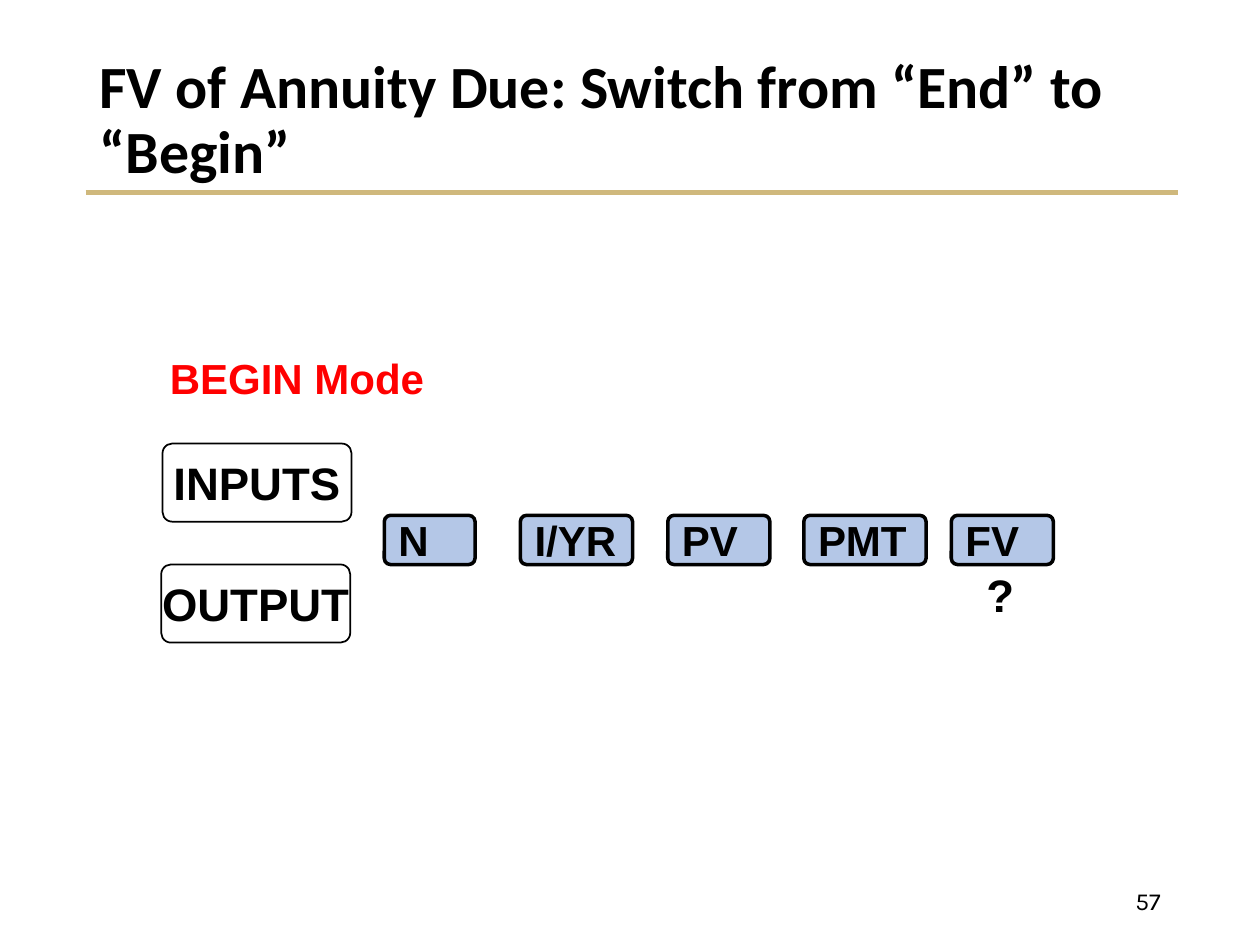
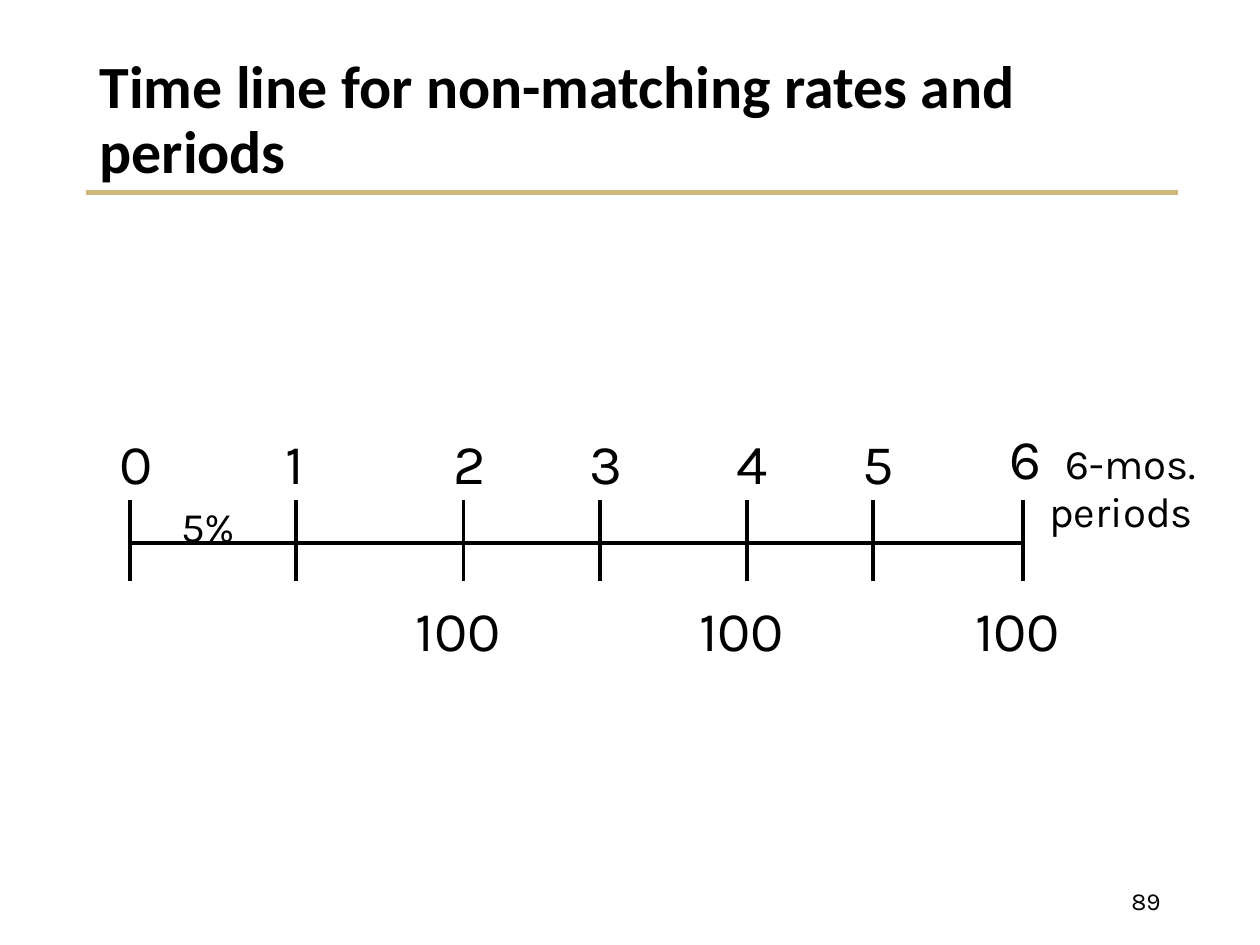
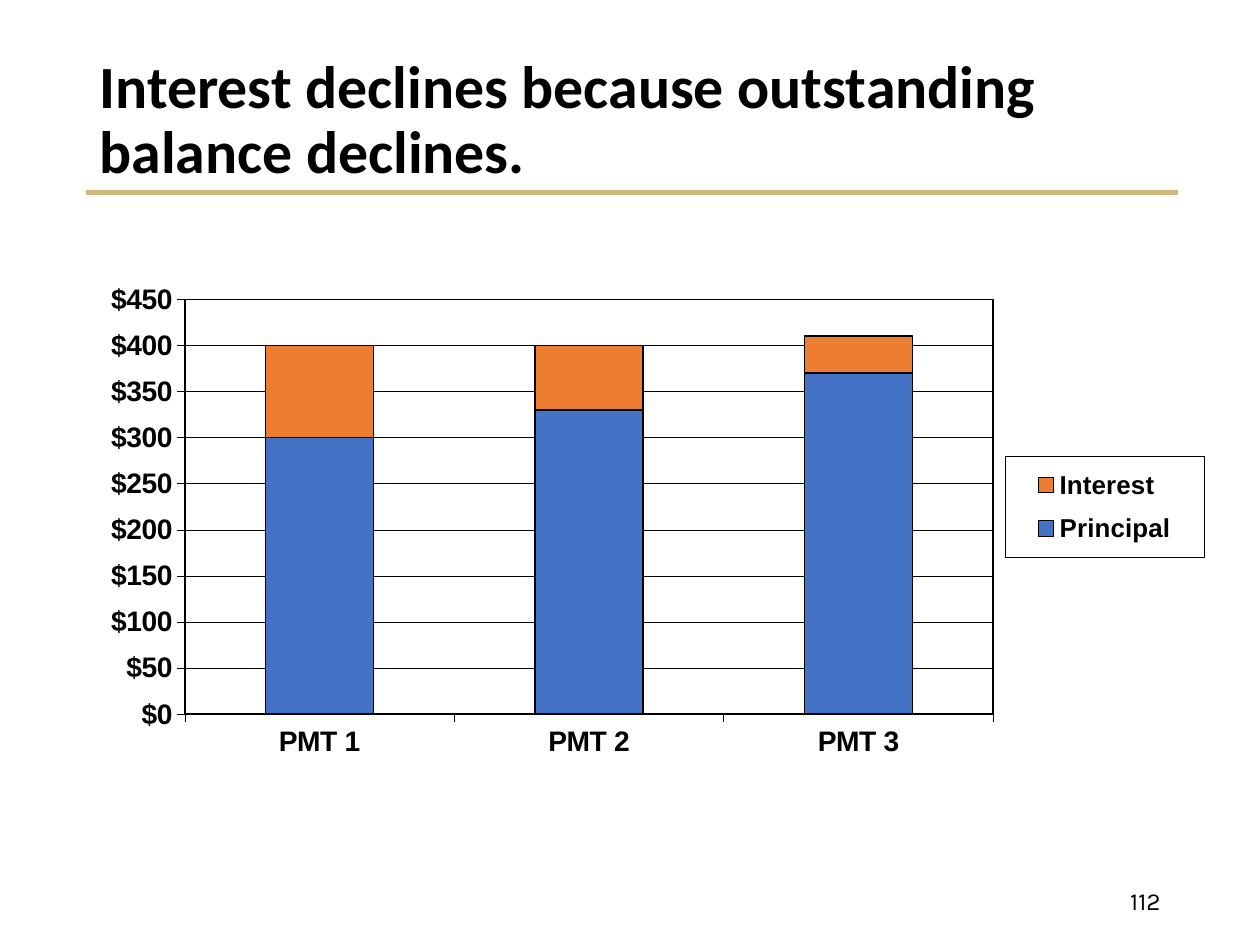
from dataclasses import dataclass

from lxml.etree import SubElement
from pptx import Presentation
from pptx.chart.data import CategoryChartData
from pptx.dml.color import RGBColor as RGB
from pptx.enum.chart import XL_CHART_TYPE as Chart, XL_LEGEND_POSITION as Legend
from pptx.enum.chart import XL_TICK_MARK as Tick
from pptx.enum.shapes import MSO_CONNECTOR as Link, MSO_SHAPE as Shape
from pptx.enum.text import MSO_ANCHOR as Anchor, MSO_AUTO_SIZE as Fit, PP_ALIGN as Align
from pptx.oxml import parse_xml
from pptx.oxml.ns import nsdecls, qn
from pptx.util import Inches, Pt


@dataclass(frozen=True)
class Theme:
    ink: str = "000000"
    gold: str = "CFB87C"
    red: str = "FF0000"
    key: str = "B4C7E7"
    blue: str = "4472C4"
    orange: str = "ED7D31"
    head: str = "Calibri"
    sans: str = "Arial"
    body: str = "Karla"
    title: float = 34.2
    mark: float = 32
    label: float = 26
    text: float = 24
    axis: float = 16.1
    legend: float = 14.8
    page: float = 14


T = Theme()


# Shared helpers
def style(font, size, name=T.body, color=T.ink, bold=False):
    font.size, font.name, font.bold = Pt(size), name, bold
    font.color.rgb = RGB.from_string(color)


def write(para, text, align=Align.LEFT, space=None, **fmt):
    para.alignment = align
    if space:
        para.line_spacing = space
    run = para.add_run()
    run.text = text
    style(run.font, **fmt)


def label(slide, text, x, y, w, h, anchor=Anchor.TOP, **fmt):
    frame = slide.shapes.add_textbox(*map(Inches, (x, y, w, h))).text_frame
    frame.word_wrap, frame.vertical_anchor = True, anchor
    write(frame.paragraphs[0], text, **fmt)
    return frame


def stroke(line, width, color=T.ink):
    line.color.rgb, line.width = RGB.from_string(color), Pt(width)


def rule(slide, x1, y1, x2, y2, width=2, color=T.ink):
    line = slide.shapes.add_connector(Link.STRAIGHT, *map(Inches, (x1, y1, x2, y2)))
    stroke(line.line, width, color)
    SubElement(line._element.spPr, qn("a:effectLst"))


def button(slide, text, x, y, w, h, fill=None, width=1, **fmt):
    shape = slide.shapes.add_shape(Shape.ROUNDED_RECTANGLE, *map(Inches, (x, y, w, h)))
    shape.adjustments[0] = 0.125
    shape.shadow.inherit = False
    if fill:
        shape.fill.solid()
        shape.fill.fore_color.rgb = RGB.from_string(fill)
    else:
        shape.fill.background()
    stroke(shape.line, width)
    frame = shape.text_frame
    frame.word_wrap, frame.vertical_anchor = False, Anchor.MIDDLE
    write(frame.paragraphs[0], text, name=T.sans, bold=True, **fmt)


def start(deck, title, page):
    """Add a slide with its title, gold rule and page number."""
    slide = deck.slides.add_slide(deck.slide_layouts[5])
    rule(slide, 0.68, 1.53, 9.35, 1.53, width=3, color=T.gold)
    head = slide.shapes.title
    head.left, head.top, head.width, head.height = map(Inches, (0.69, 0.4, 8.62, 1.13))
    frame = head.text_frame
    frame.auto_size, frame.word_wrap = Fit.NONE, True
    frame.vertical_anchor = Anchor.MIDDLE
    write(frame.paragraphs[0], title, space=0.9, size=T.title, name=T.head, bold=True)
    label(slide, str(page), 7.06, 6.95, 2.25, 0.4, anchor=Anchor.MIDDLE,
          align=Align.RIGHT, size=T.page)
    return slide


# Calculator keys
def keypad(slide, x, y):
    label(slide, "BEGIN Mode", x, y, 2.3, 0.51, size=T.text, name=T.sans,
          color=T.red, bold=True)
    for text, dx, dy in (("INPUTS", 0.04, 0.77), ("OUTPUT", 0.03, 1.73)):
        button(slide, text, x + dx, y + dy, 1.5, 0.62, size=T.label, align=Align.CENTER)
    keys = (("N", 1.8, 0.72), ("I/YR", 2.88, 0.89), ("PV", 4.05, 0.81),
            ("PMT", 5.13, 0.97), ("FV", 6.3, 0.81))
    for text, dx, w in keys:
        button(slide, text, x + dx, y + 1.34, w, 0.39, fill=T.key, width=2, size=T.text)
    label(slide, "?", x + 6.48, y + 1.7, 0.5, 0.51, size=T.label, name=T.sans, bold=True)


# Time line with cash flows
def timeline(slide, x, y, ticks, flows, rate):
    rule(slide, x, y, x + ticks[-1], y)
    for num, dx in enumerate(ticks):
        at = x + dx
        rule(slide, at, y - 0.34, at, y + 0.3)
        if num < len(ticks) - 1:
            label(slide, str(num), at - 0.18, y - 0.96, 0.44, 0.63, size=T.mark)
        if num in flows:
            label(slide, flows[num], at - 0.48, y + 0.37, 0.93, 0.63, size=T.mark)
    label(slide, rate, x + 0.31, y - 0.39, 0.75, 0.5, size=T.text)

    # Last mark and its unit
    frame = label(slide, str(len(ticks) - 1), x + ticks[-1] - 0.21, y - 0.94, 1.79, 0.94,
                  space=0.9, size=T.mark)
    first, last = frame.paragraphs[0], frame.add_paragraph()
    tabs = SubElement(first._p.get_or_add_pPr(), qn("a:tabLst"))
    SubElement(tabs, qn("a:tab"), pos=str(Inches(0.45)), algn="l")
    write(first, "\t6-mos.", size=T.text)
    last._p.get_or_add_pPr().set("marL", str(Inches(0.32)))
    write(last, "periods", space=0.9, size=T.text)


# Stacked chart of payments
def place(part, index, x, y, w, h, inner=False):
    for old in part.findall(qn("c:layout")):
        part.remove(old)
    target = '<c:layoutTarget val="inner"/>' if inner else ""
    sizes = "".join(f'<c:{tag} val="{val}"/>' for tag, val in zip("xywh", (x, y, w, h)))
    part.insert(index, parse_xml(
        f'<c:layout {nsdecls("c")}><c:manualLayout>{target}<c:xMode val="edge"/>'
        f'<c:yMode val="edge"/>{sizes}</c:manualLayout></c:layout>'))


def border(width):
    return parse_xml(
        f'<c:spPr {nsdecls("c", "a")}><a:noFill/><a:ln w="{Pt(width)}"><a:solidFill>'
        f'<a:srgbClr val="{T.ink}"/></a:solidFill></a:ln></c:spPr>')


def payments(slide, x, y, w, h, cats, series):
    data = CategoryChartData()
    data.categories = cats
    for name, vals, _ in series:
        data.add_series(name, vals)
    chart = slide.shapes.add_chart(
        Chart.COLUMN_STACKED, *map(Inches, (x, y, w, h)), data).chart
    chart.has_title = False
    style(chart.font, T.axis, T.sans, bold=True)

    # Bars
    plot = chart.plots[0]
    plot.gap_width, plot.overlap, plot.vary_by_categories = 150, 100, False
    for bar, (_, _, color) in zip(plot.series, series):
        bar.format.fill.solid()
        bar.format.fill.fore_color.rgb = RGB.from_string(color)
        stroke(bar.format.line, 0.89)

    # Axes
    for axis in (chart.category_axis, chart.value_axis):
        style(axis.tick_labels.font, T.axis, T.sans, bold=True)
        axis.major_tick_mark, axis.minor_tick_mark = Tick.OUTSIDE, Tick.NONE
        stroke(axis.format.line, 0.22)
    value = chart.value_axis
    value.minimum_scale, value.maximum_scale, value.major_unit = 0, 450, 50
    value.has_major_gridlines = True
    stroke(value.major_gridlines.format.line, 0.22)
    value.tick_labels.number_format = '"$"#,##0'
    value.tick_labels.number_format_is_linked = False

    # Plot area and legend
    area = chart._chartSpace.find(".//" + qn("c:plotArea"))
    place(area, 0, 0.12, 0.08, 0.69, 0.74, inner=True)
    area.append(border(0.89))
    chart.has_legend = True
    legend = chart.legend
    legend.position, legend.include_in_layout = Legend.RIGHT, False
    style(legend.font, T.legend, T.sans, bold=True)
    part = legend._element
    place(part, 1, 0.82, 0.36, 0.17, 0.18)
    part.find(qn("c:overlay")).addnext(border(0.22))


def main():
    deck = Presentation()
    deck.slide_width, deck.slide_height = Inches(10), Inches(7.5)

    slide = start(deck, "FV of Annuity Due: Switch from “End” to “Begin”", 57)
    keypad(slide, 1.25, 2.75)

    slide = start(deck, "Time line for non-matching rates and periods", 89)
    timeline(slide, 1.03, 4.31, ticks=(0, 1.32, 2.65, 3.73, 4.9, 5.9, 7.09),
             flows=dict.fromkeys((2, 4, 6), "100"), rate="5%")

    slide = start(deck, "Interest declines because outstanding balance declines.", 112)
    payments(slide, 0.35, 2.02, 9.3, 4.45, ("PMT 1", "PMT 2", "PMT 3"),
             (("Principal", (300, 330, 370), T.blue),
              ("Interest", (100, 70, 40), T.orange)))
    deck.save("out.pptx")


if __name__ == "__main__":
    main()
